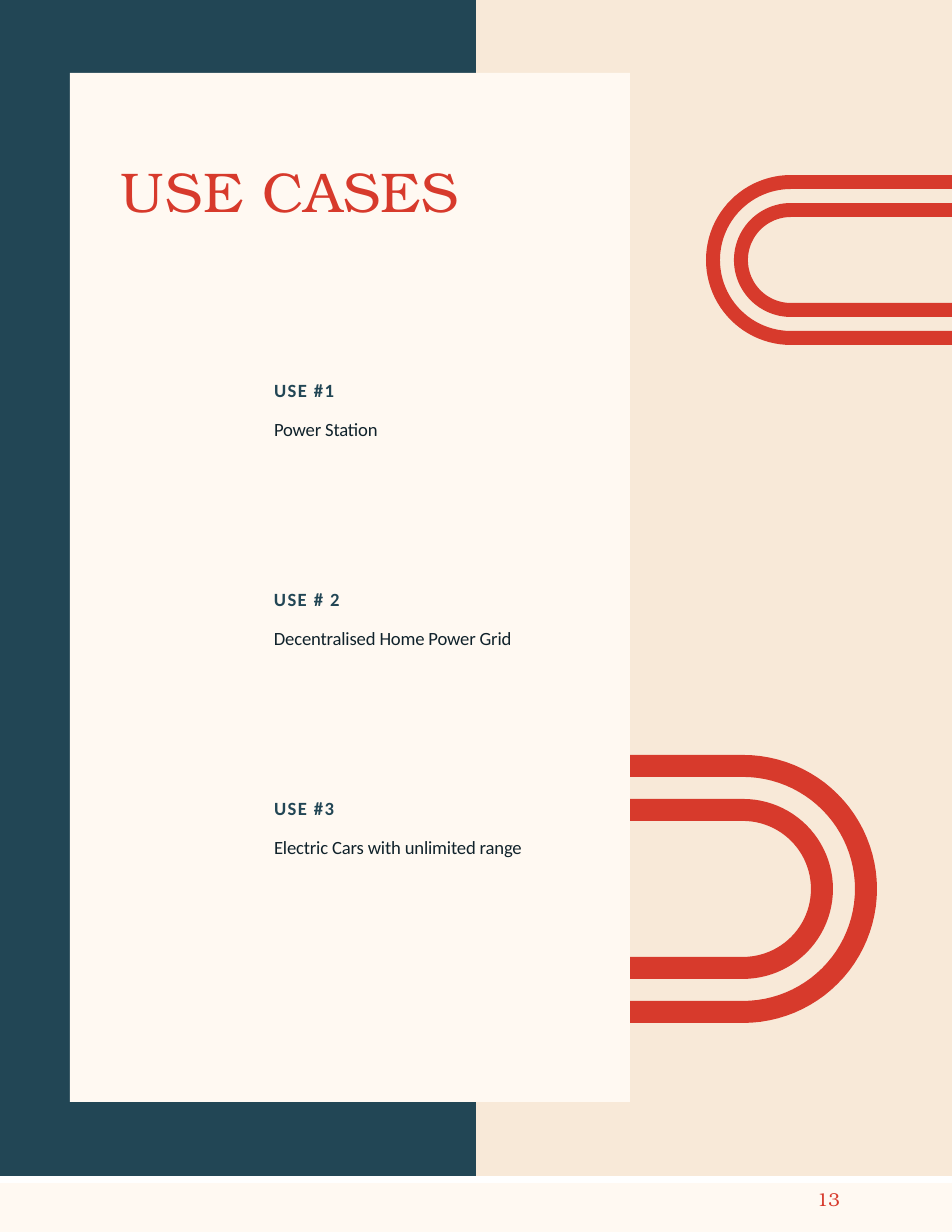
from dataclasses import dataclass
from math import cos, pi, sin

from pptx import Presentation
from pptx.dml.color import RGBColor
from pptx.enum.shapes import MSO_SHAPE as SHAPE
from pptx.enum.text import MSO_ANCHOR as ANCHOR, PP_ALIGN as ALIGN
from pptx.util import Emu, Pt

EMU_PER_PX = 914400 / 112
ARC_STEPS = 48


@dataclass(frozen=True)
class Theme:
    navy: str = "224655"
    sand: str = "F8E9D8"
    cream: str = "FFF9F2"
    red: str = "D73A2C"
    ink: str = "10222B"
    serif: str = "TeX Gyre Bonum"
    sans: str = "Calibri"
    title: int = 36
    body: int = 12


THEME = Theme()


def px(n):
    return Emu(round(n * EMU_PER_PX))


def paint(sp, color):
    sp.shadow.inherit = False
    sp.fill.solid()
    sp.fill.fore_color.rgb = RGBColor.from_string(color)
    sp.line.fill.background()


def add_panel(s, x, y, w, h, color):
    sp = s.shapes.add_shape(SHAPE.RECTANGLE, px(x), px(y), px(w), px(h))
    paint(sp, color)


def add_ribbon(s, open_x, cx, cy, radius, band):
    side = 1 if cx > open_x else -1

    def bend(r):
        angles = [pi * i / ARC_STEPS - pi / 2 for i in range(ARC_STEPS + 1)]
        arc = [(cx + side * r * cos(a), cy + r * sin(a)) for a in angles]
        return [(open_x, cy - r), *arc, (open_x, cy + r)]

    outline = bend(radius) + bend(radius - band)[::-1]
    points = [(px(x), px(y)) for x, y in outline]
    fb = s.shapes.build_freeform(*points[0])
    fb.add_line_segments(points[1:], close=True)
    paint(fb.convert_to_shape(), THEME.red)


def set_frame(tf, left, top=0):
    tf.margin_left, tf.margin_top = px(left), px(top)
    tf.margin_right = tf.margin_bottom = 0
    tf.vertical_anchor = ANCHOR.TOP
    tf.word_wrap = True


def write(p, text, font, size, color, bold=False, spacing=0):
    p.text = text
    p.alignment = ALIGN.LEFT
    p.line_spacing = 1.0
    p.space_before = Pt(0)
    p.font.name, p.font.size, p.font.bold = font, Pt(size), bold
    p.font.color.rgb = RGBColor.from_string(color)
    for r in p.runs:
        r.font._element.set("spc", str(spacing))


def set_title(s, text):
    sp = s.shapes.title
    sp.left, sp.top, sp.width, sp.height = px(111), px(119), px(731), px(130)
    set_frame(sp.text_frame, 10, 37)
    write(sp.text_frame.paragraphs[0], text, THEME.serif, THEME.title, THEME.red, spacing=50)
    s.shapes._spTree.append(sp._element)


def add_text_box(s, x, y, w, h, left):
    tf = s.shapes.add_textbox(px(x), px(y), px(w), px(h)).text_frame
    set_frame(tf, left)
    return tf


def add_use_case(s, y, w, heading, detail):
    tf = add_text_box(s, 273, y, w, 60, 1)
    write(tf.paragraphs[0], heading, THEME.sans, THEME.body, THEME.navy, True, 90)
    p = tf.add_paragraph()
    write(p, detail, THEME.sans, THEME.body, THEME.ink, spacing=-10)
    p.space_before = Pt(10.3)


def add_page_number(s, number):
    tf = add_text_box(s, 814, 1188, 29, 21, 3)
    write(tf.paragraphs[0], number, THEME.serif, THEME.body, THEME.red, spacing=-10)


def main():
    prs = Presentation()
    prs.slide_width, prs.slide_height = px(952), px(1232)
    s = prs.slides.add_slide(prs.slide_layouts[5])

    add_panel(s, 0, 1183, 952, 49, THEME.cream)
    add_panel(s, 476, 0, 476, 1176, THEME.sand)
    add_panel(s, 0, 0, 476, 1176, THEME.navy)
    for radius in (85, 57):
        add_ribbon(s, 952, 791, 260, radius, 14)
    for radius in (134, 90):
        add_ribbon(s, 489, 743, 889, radius, 22)
    add_panel(s, 70, 73, 560, 1029, THEME.cream)

    set_title(s, "USE CASES")
    use_cases = [
        (113, "USE #1", "Power Station"),
        (251, "USE # 2", "Decentralised Home Power Grid"),
        (261, "USE #3", "Electric Cars with unlimited range"),
    ]
    for i, (w, heading, detail) in enumerate(use_cases):
        add_use_case(s, 379 + 209 * i, w, heading, detail)
    add_page_number(s, "13")
    prs.save("out.pptx")


if __name__ == "__main__":
    main()
